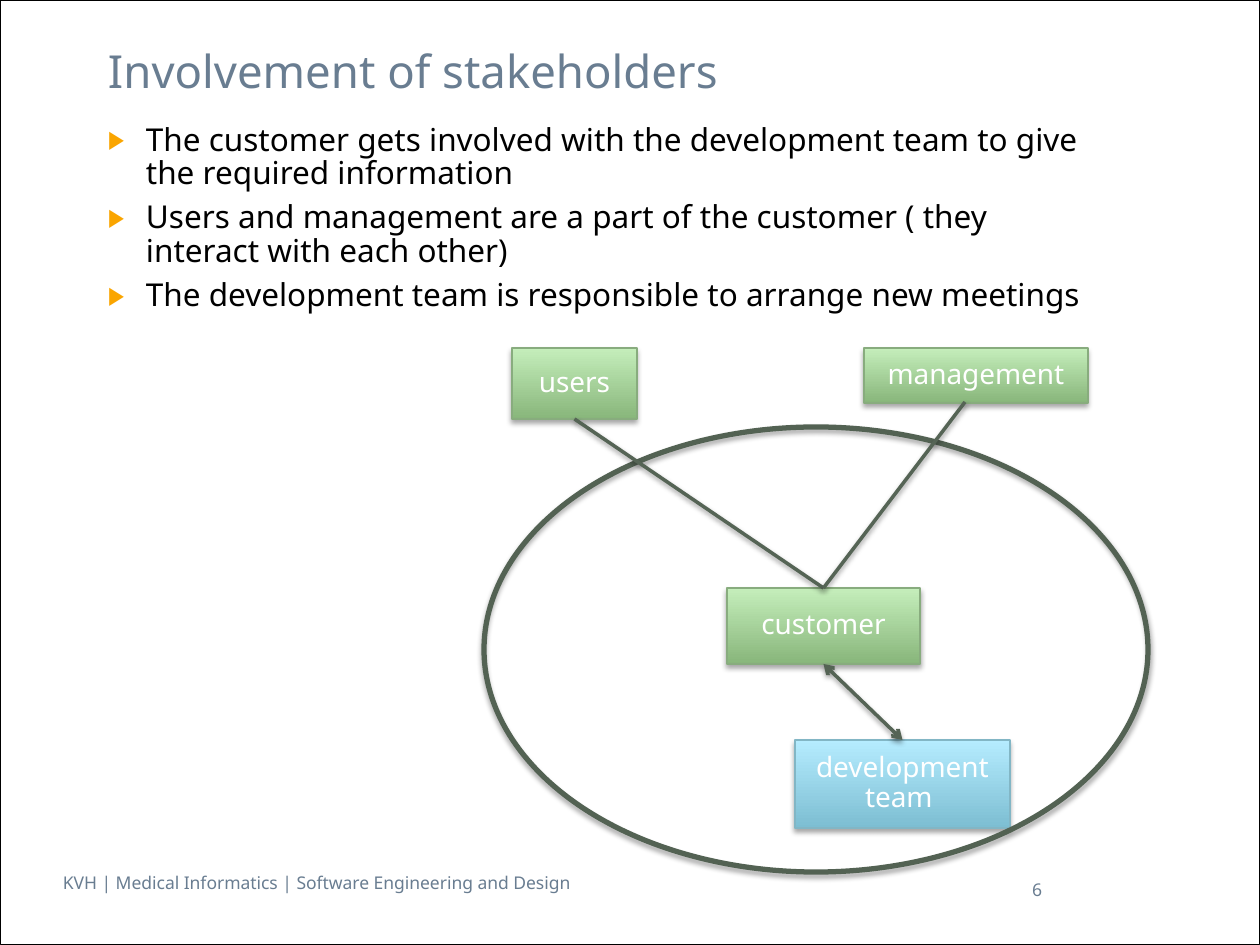
from dataclasses import dataclass

from lxml.etree import SubElement
from pptx import Presentation
from pptx.dml.color import RGBColor as RGB
from pptx.enum.shapes import MSO_CONNECTOR as CONN, MSO_SHAPE as SHAPE
from pptx.enum.text import MSO_ANCHOR as ANCHOR, PP_ALIGN as ALIGN
from pptx.oxml.ns import qn
from pptx.util import Pt

PX = 914400 / 126


@dataclass(frozen=True)
class Theme:
    font: str = "Noto Sans"
    slate: str = "697D91"
    black: str = "000000"
    white: str = "FFFFFF"
    bullet: str = "FAA500"
    green: tuple = ("88B67B", "C5EEBB", "88AC7E")  # bottom, top, border
    blue: tuple = ("7DBED2", "B5ECFF", "82B6C5")
    ring: str = "536253"
    link: str = "556455"
    title: int = 26
    body: int = 18
    label: int = 16
    small: int = 10
    spacing: float = 0.89


T = Theme()


def write(p, text, size, color, align=ALIGN.LEFT):
    p.alignment = align
    p.line_spacing = T.spacing
    r = p.add_run()
    r.text = text
    r.font.name, r.font.size = T.font, Pt(size)
    r.font.color.rgb = RGB.from_string(color)


def add_shadow(s, distance, alpha):
    """Give a shape or connector a soft shadow straight below it."""
    spPr = s._element.spPr
    effects = spPr.find(qn("a:effectLst"))
    if effects is None:
        effects = SubElement(spPr, qn("a:effectLst"))
    shadow = SubElement(effects, qn("a:outerShdw"), blurRad=str(Pt(3.1)),
                        dist=str(Pt(distance)), dir="5400000", rotWithShape="0")
    color = SubElement(shadow, qn("a:srgbClr"), val=T.black)
    SubElement(color, qn("a:alpha"), val=str(alpha * 1000))


prs = Presentation()
prs.slide_width, prs.slide_height = round(1260 * PX), round(945 * PX)
slide = prs.slides.add_slide(prs.slide_layouts[6])
shapes = slide.shapes

# Slide border
s = shapes.add_shape(SHAPE.RECTANGLE, 0, 0, prs.slide_width, prs.slide_height)
s.shadow.inherit = False
s.fill.background()
s.line.color.rgb = RGB.from_string(T.black)
s.line.width = Pt(0.5)

# Texts: box in px, paragraphs, size, colour, alignment, anchor
bullets = [
    "The customer gets involved with the development team to give the required information",
    "Users and management are a part of the customer ( they interact with each other)",
    "The development team is responsible to arrange new meetings",
]
texts = [
    ((63, 868, 921, 34), ["KVH | Medical Informatics | Software Engineering and Design"],
     T.small, T.slate, ALIGN.LEFT, ANCHOR.TOP),
    ((108, 118, 983, 265), bullets, T.body, T.black, ALIGN.LEFT, ANCHOR.TOP),
    ((108, 44, 966, 74), ["Involvement of stakeholders"],
     T.title, T.slate, ALIGN.LEFT, ANCHOR.TOP),
    ((795, 866, 247, 50), ["6"], T.small, T.slate, ALIGN.RIGHT, ANCHOR.MIDDLE),
]
for box, lines, size, color, align, anchor in texts:
    tf = shapes.add_textbox(*(round(v * PX) for v in box)).text_frame
    tf.word_wrap = True
    tf.margin_left = tf.margin_right = 0
    tf.vertical_anchor = anchor
    for i, line in enumerate(lines):
        p = tf.add_paragraph() if i else tf.paragraphs[0]
        write(p, line, size, color, align)
        if lines is bullets:
            p.space_after = Pt(6)
            pPr = p._p.get_or_add_pPr()
            pPr.set("marL", str(round(38 * PX)))
            pPr.set("indent", str(-round(38 * PX)))
            SubElement(SubElement(pPr, qn("a:buClr")), qn("a:srgbClr"), val=T.bullet)
            SubElement(pPr, qn("a:buSzPct"), val="80000")
            SubElement(pPr, qn("a:buFont"), typeface=T.font)
            SubElement(pPr, qn("a:buChar"), char="▶")

# Stakeholder boxes
stakeholders = [
    ("customer", (727, 588, 193, 76), T.green),
    ("users", (512, 348, 125, 71), T.green),
    ("management", (864, 348, 224, 55), T.green),
    ("development team ", (795, 740, 215, 88), T.blue),
]
boxes = {}
for name, box, (bottom, top, border) in stakeholders:
    s = shapes.add_shape(SHAPE.RECTANGLE, *(round(v * PX) for v in box))
    s.shadow.inherit = False
    s.fill.gradient()
    s.fill.gradient_angle = 90
    for stop, color in zip(s.fill.gradient_stops, (bottom, top)):
        stop.color.rgb = RGB.from_string(color)
    s.line.color.rgb = RGB.from_string(border)
    s.line.width = Pt(0.75)
    add_shadow(s, 1.8, 35)
    tf = s.text_frame
    tf.word_wrap = True
    tf.vertical_anchor = ANCHOR.MIDDLE
    write(tf.paragraphs[0], name, T.label, T.white, ALIGN.CENTER)
    boxes[name.strip()] = s

# Ring around the project
s = shapes.add_shape(SHAPE.OVAL, *(round(v * PX) for v in (484, 427, 664, 445)))
s.shadow.inherit = False
s.fill.background()
s.line.color.rgb = RGB.from_string(T.ring)
s.line.width = Pt(3)
add_shadow(s, 1.8, 35)

# Links: ends in px, joined box and side at each end, arrowheads
links = [
    ((574, 419, 823, 588), ("users", 2), ("customer", 0), False),
    ((965, 402, 823, 588), None, ("customer", 0), False),
    ((823, 664, 902, 740), ("customer", 2), ("development team", 0), True),
]
for ends, start, end, arrows in links:
    s = shapes.add_connector(CONN.STRAIGHT, *(round(v * PX) for v in ends))
    if start:
        s.begin_connect(boxes[start[0]], start[1])
    s.end_connect(boxes[end[0]], end[1])
    s.line.color.rgb = RGB.from_string(T.link)
    s.line.width = Pt(2)
    if arrows:
        ln = s._element.spPr.find(qn("a:ln"))
        for tag in ("a:headEnd", "a:tailEnd"):
            SubElement(ln, qn(tag), type="arrow")
    add_shadow(s, 1.6, 38)

prs.save("out.pptx")
